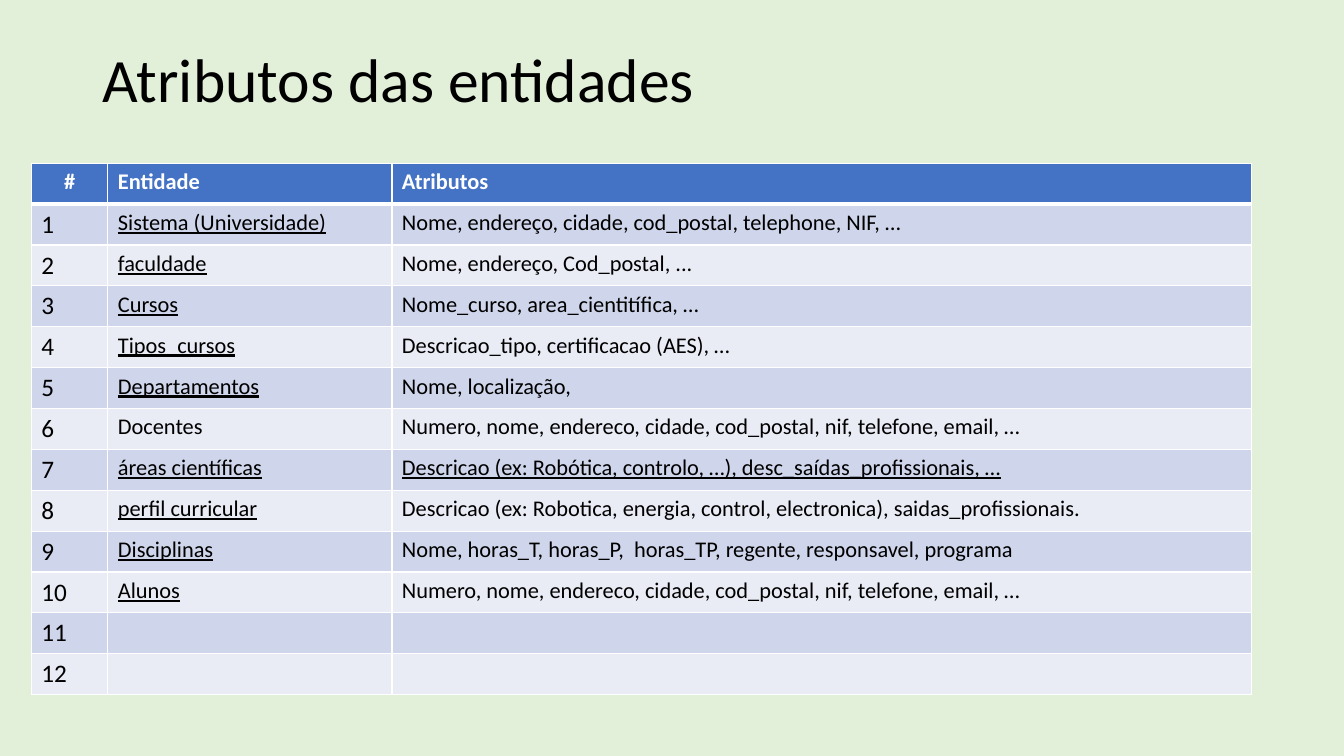
from pptx import Presentation
from pptx import util as u
from pptx.dml.color import RGBColor
from pptx.enum import text
from pptx.oxml import parse_xml
from pptx.oxml.ns import nsdecls

BACKGROUND = RGBColor(0xE2, 0xF0, 0xD9)
HEADER = RGBColor(0x44, 0x72, 0xC4)
BAND_DARK = RGBColor(0xCF, 0xD5, 0xEA)
BAND_LIGHT = RGBColor(0xE9, 0xEB, 0xF5)
BLACK = RGBColor(0, 0, 0)
WHITE = RGBColor(0xFF, 0xFF, 0xFF)

HEADINGS = ("#", "Entidade", "Atributos")
PERSON = "Numero, nome, endereco, cidade, cod_postal, nif, telefone, email, …"
ENTITIES = [
    ("Sistema (Universidade)", "Nome, endereço, cidade, cod_postal, telephone, NIF, …"),
    ("faculdade", "Nome, endereço, Cod_postal, ..."),
    ("Cursos", "Nome_curso, area_cientitífica, …"),
    ("Tipos_cursos", "Descricao_tipo, certificacao (AES), …"),
    ("Departamentos", "Nome, localização,"),
    ("Docentes", PERSON),
    ("áreas científicas", "Descricao (ex: Robótica, controlo, …), desc_saídas_profissionais, …"),
    ("perfil curricular", "Descricao (ex: Robotica, energia, control, electronica), saidas_profissionais."),
    ("Disciplinas", "Nome, horas_T, horas_P,  horas_TP, regente, responsavel, programa"),
    ("Alunos", PERSON),
    ("", ""),
    ("", ""),
]
# Entities without underline, and those whose attributes are underlined too
PLAIN_ENTITIES = {"Docentes", ""}
UNDERLINED_ATTRIBUTES = {"áreas científicas"}


class Deck:
    font = "Calibri"

    def __init__(self, width, height):
        self.prs = Presentation()
        self.prs.slide_width, self.prs.slide_height = u.Inches(width), u.Inches(height)
        self.s = self.prs.slides.add_slide(self.prs.slide_layouts[5])
        self.s.background.fill.solid()
        self.s.background.fill.fore_color.rgb = BACKGROUND

    def box(self, left, top, width, height):
        """Turn percentages of the slide's size into lengths."""
        w, h = self.prs.slide_width / 100, self.prs.slide_height / 100
        return int(left * w), int(top * h), int(width * w), int(height * h)

    def set_text(self, tf, words, size, color, bold=False, underline=False,
                 align=text.PP_ALIGN.LEFT):
        tf.text = words
        p = tf.paragraphs[0]
        p.alignment = align
        for r in p.runs:
            f = r.font
            f.name, f.size, f.bold, f.underline = self.font, u.Pt(size), bold, underline
            f.color.rgb = color
        return p

    def title(self, words, *share):
        sp = self.s.shapes.title
        sp.left, sp.top, sp.width, sp.height = self.box(*share)
        tf = sp.text_frame
        tf.vertical_anchor = text.MSO_ANCHOR.MIDDLE
        self.set_text(tf, words, 44, BLACK).line_spacing = 0.9

    def table(self, rows, column_shares, *share):
        left, top, width, height = self.box(*share)
        frame = self.s.shapes.add_table(len(rows), len(column_shares), left, top, width, height)
        tbl = frame.table
        for column, part in zip(tbl.columns, column_shares):
            column.width = int(width * part / sum(column_shares))
        for row in tbl.rows:
            row.height = height // len(rows)
        return tbl

    def cell(self, cell, words, fill, size, color, edges, **style):
        cell.fill.solid()
        cell.fill.fore_color.rgb = fill
        self.set_text(cell.text_frame, words, size, color, **style)
        tc_pr = cell._tc.get_or_add_tcPr()
        for i, (side, points) in enumerate(edges.items()):
            tc_pr.insert(i, parse_xml(
                f'<a:ln{side} {nsdecls("a")} w="{u.Pt(points)}"><a:solidFill>'
                f'<a:srgbClr val="{WHITE}"/></a:solidFill></a:ln{side}>'))


def main():
    deck = Deck(13.33, 7.5)
    deck.title("Atributos das entidades", 6.9, 5.33, 86.27, 11.07)

    # Entity table
    rows = [HEADINGS] + [(str(n), *row) for n, row in enumerate(ENTITIES, 1)]
    tbl = deck.table(rows, (0.76, 2.82, 8.53), 2.33, 21.6, 90.77, 70.27)

    # Header row
    for c, words in enumerate(HEADINGS):
        align = text.PP_ALIGN.LEFT if c else text.PP_ALIGN.CENTER
        deck.cell(tbl.cell(0, c), words, HEADER, 16, WHITE,
                  {"L": 1, "R": 1, "T": 1, "B": 3}, bold=True, align=align)

    # Banded body rows
    for n, row in enumerate(rows[1:], 1):
        entity = row[1]
        underlines = (False, entity not in PLAIN_ENTITIES, entity in UNDERLINED_ATTRIBUTES)
        edges = {"L": 1, "R": 1, "T": 3 if n == 1 else 1, "B": 1}
        for c, words in enumerate(row):
            deck.cell(tbl.cell(n, c), words, BAND_DARK if n % 2 else BAND_LIGHT,
                      16 if c else 18, BLACK, edges, underline=underlines[c])

    deck.prs.save("out.pptx")


if __name__ == "__main__":
    main()
